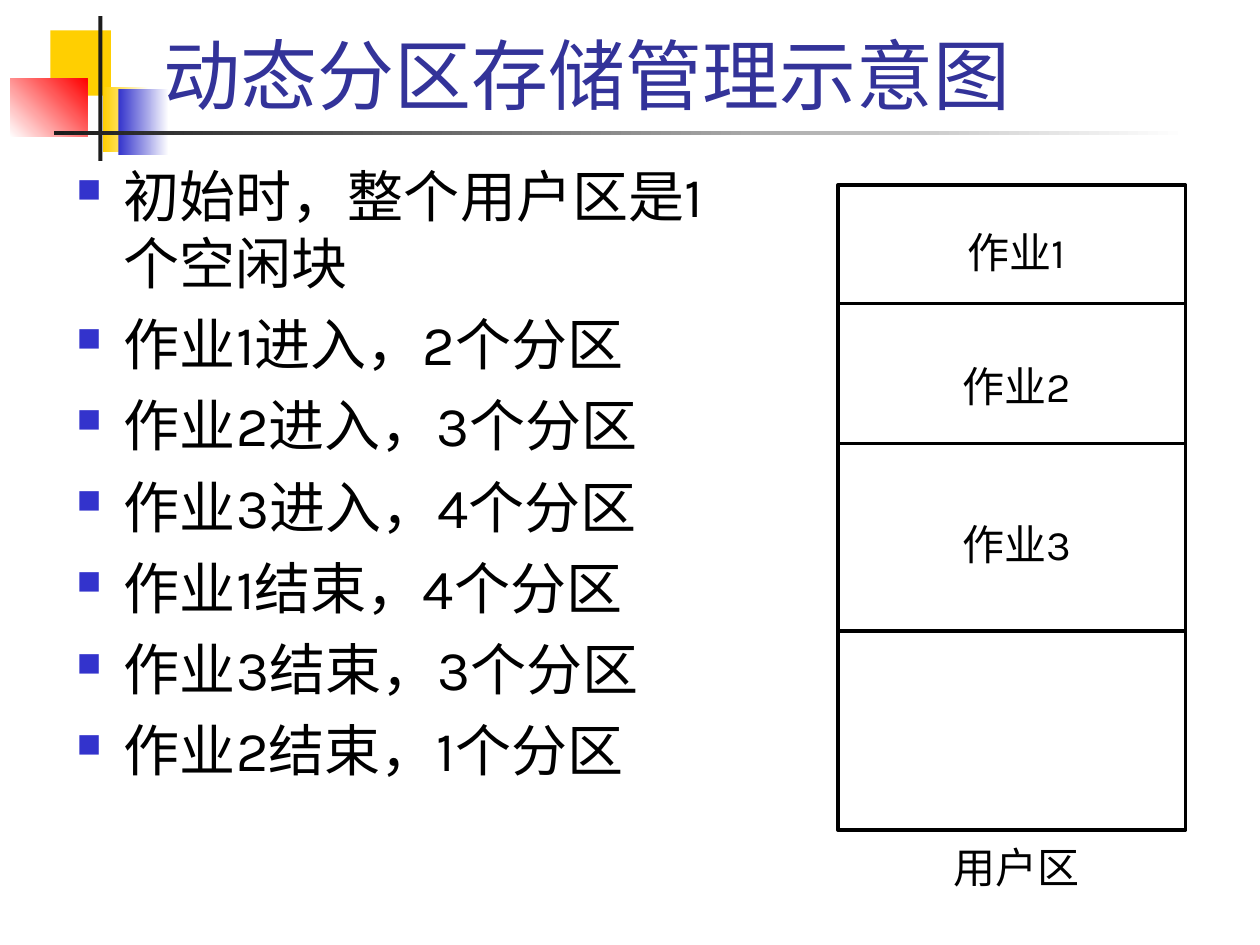
"""Build a slide showing memory management with dynamic partitions."""
from dataclasses import dataclass

from lxml.etree import SubElement
from pptx import Presentation
from pptx.dml.color import RGBColor as Color
from pptx.enum.shapes import MSO_CONNECTOR as Connector, MSO_SHAPE as Shape
from pptx.enum.text import MSO_ANCHOR as Anchor, MSO_AUTO_SIZE as AutoSize, PP_ALIGN as Align
from pptx.oxml.ns import qn
from pptx.util import Pt


@dataclass(frozen=True)
class Theme:
    font: str = "Karla"
    title: str = "333399"
    ink: str = "000000"
    bar: str = "1C1C1C"
    yellow: str = "FFCF01"
    blue: str = "3333CC"
    red: str = "FF0000"
    white: str = "FFFFFF"
    title_size: int = 44
    body_size: int = 32
    label_size: int = 24
    line_width: int = 2


THEME = Theme()
TITLE = "动态分区存储管理示意图"
STEPS = [
    "初始时，整个用户区是1个空闲块",
    "作业1进入，2个分区",
    "作业2进入，3个分区",
    "作业3进入，4个分区",
    "作业1结束，4个分区",
    "作业3结束，3个分区",
    "作业2结束，1个分区",
]
DECORATION = [
    ((28.8, 17.3, 34.6, 37.4), (THEME.yellow,), 0),
    ((59, 49.7, 25.9, 37.4), (THEME.yellow, THEME.white), 0),
    ((67.7, 51.1, 28.8, 37.4), (THEME.blue, THEME.white), 0),
    ((5.8, 45.1, 44.2, 33.1), (THEME.white, THEME.red), 45),
    ((56.2, 9.2, 2.3, 82.8), (THEME.bar,), 0),
    ((31, 74.9, 648, 2.3), (THEME.bar, THEME.white), 0),
]
TITLE_BOX = (86.4, 12.2, 613.4, 59.8)
BODY_BOX = (36.7, 88.6, 396.7, 368.6)
MEMORY_BOX = (478.8, 105.8, 198.7, 368.6)
LABEL_SIZE = (90.7, 31.7)
JOBS = [("作业1", 144), ("作业2", 220.4), ("作业3", 311)]
DIVIDERS = [173.5, 253.4, 360.7]
CAPTION = ("用户区", 495.4)


def points(values):
    return [Pt(value) for value in values]


def add_bullet(para, indent=27):
    properties = para._p.get_or_add_pPr()
    properties.set("marL", str(Pt(indent)))
    properties.set("indent", str(-Pt(indent)))
    color = SubElement(properties, qn("a:buClr"))
    SubElement(color, qn("a:srgbClr"), val=THEME.blue)
    SubElement(properties, qn("a:buSzPct"), val="60000")
    SubElement(properties, qn("a:buChar"), char="■")


def write_text(frame, lines, *, size, color=THEME.ink, align=Align.LEFT,
               anchor=Anchor.TOP, wrap=True, inset=None, gap=0, bullet=False):
    frame.auto_size = AutoSize.NONE
    frame.word_wrap = wrap
    frame.vertical_anchor = anchor
    if inset is not None:
        frame.margin_left = frame.margin_right = Pt(inset)
        frame.margin_top = frame.margin_bottom = Pt(inset)
    for index, line in enumerate(lines):
        para = frame.add_paragraph() if index else frame.paragraphs[0]
        para.alignment = align
        para.space_before = Pt(gap if index else 0)
        if bullet:
            add_bullet(para)
        span = para.add_run()
        span.text = line
        span.font.name = THEME.font
        span.font.size = Pt(size)
        span.font.color.rgb = Color.from_string(color)


def add_decoration(slide, bounds, colors, angle):
    block = slide.shapes.add_shape(Shape.RECTANGLE, *points(bounds))
    block.shadow.inherit = False
    block.line.fill.background()
    if len(colors) == 1:
        block.fill.solid()
        block.fill.fore_color.rgb = Color.from_string(colors[0])
        return
    block.fill.gradient()
    block.fill.gradient_angle = angle
    for stop, color in zip(block.fill.gradient_stops, colors):
        stop.color.rgb = Color.from_string(color)


def style_line(line):
    line.color.rgb = Color.from_string(THEME.ink)
    line.width = Pt(THEME.line_width)


def add_label(slide, text, top):
    left, _, width, _ = MEMORY_BOX
    label_width, label_height = LABEL_SIZE
    label_left = left + (width - label_width) / 2 + 2.7
    box = slide.shapes.add_textbox(*points((label_left, top - label_height / 2, label_width, label_height)))
    write_text(box.text_frame, [text], size=THEME.label_size, align=Align.CENTER,
               anchor=Anchor.MIDDLE, wrap=False, inset=0)


def add_memory(slide):
    left, _, width, _ = MEMORY_BOX
    memory = slide.shapes.add_shape(Shape.RECTANGLE, *points(MEMORY_BOX))
    memory.shadow.inherit = False
    memory.fill.background()
    style_line(memory.line)
    for level in DIVIDERS:
        divider = slide.shapes.add_connector(
            Connector.STRAIGHT, *points((left, level, left + width, level)))
        style_line(divider.line)
        SubElement(divider._element.spPr, qn("a:effectLst"))
    for text, middle in [*JOBS, CAPTION]:
        add_label(slide, text, middle)


def main():
    deck = Presentation()
    deck.slide_width, deck.slide_height = points((720, 540))
    page = deck.slides.add_slide(deck.slide_layouts[5])
    for bounds, colors, angle in DECORATION:
        add_decoration(page, bounds, colors, angle)

    title = page.shapes.title
    title.left, title.top, title.width, title.height = points(TITLE_BOX)
    page.shapes._spTree.append(title._element)
    write_text(title.text_frame, [TITLE], size=THEME.title_size,
               color=THEME.title, anchor=Anchor.BOTTOM)

    body = page.shapes.add_textbox(*points(BODY_BOX))
    write_text(body.text_frame, STEPS, size=THEME.body_size, gap=8, bullet=True)
    add_memory(page)
    deck.save("out.pptx")


if __name__ == "__main__":
    main()
